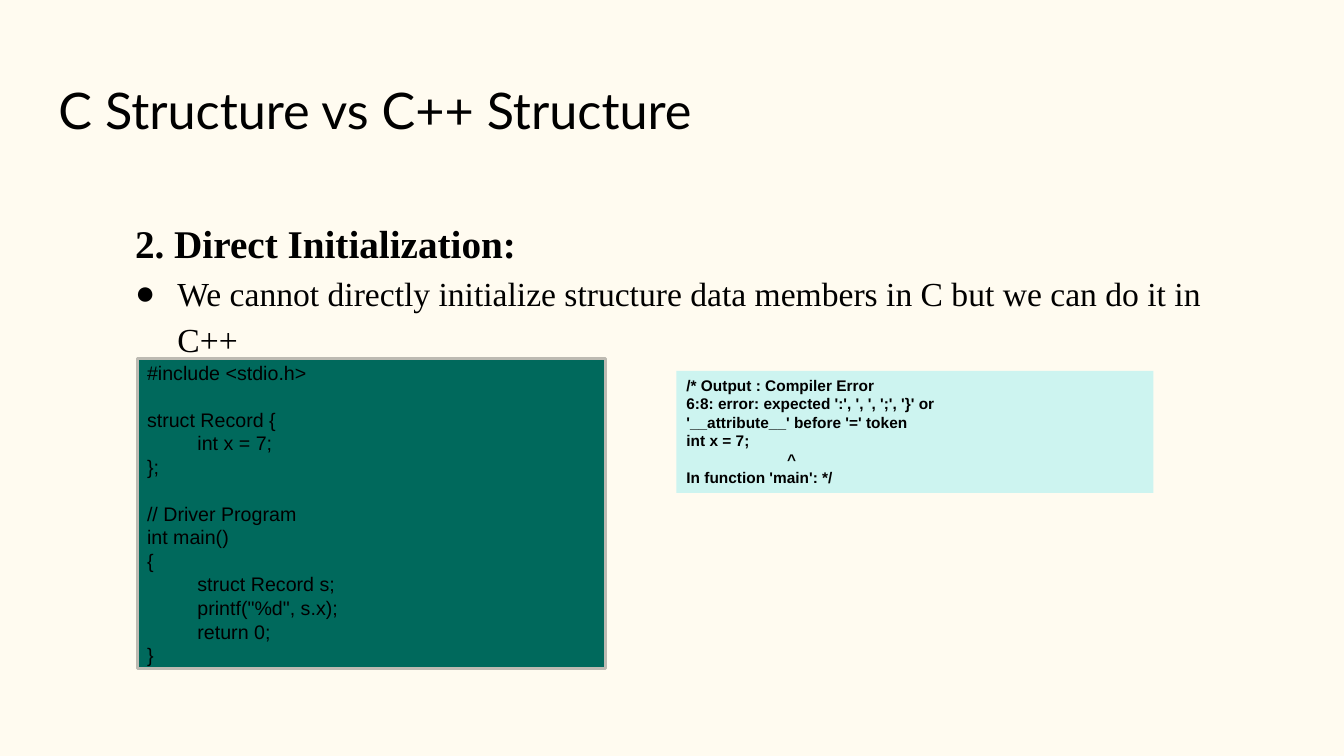
from pptx import Presentation
from pptx.dml.color import RGBColor
from pptx.enum import shapes, text
from pptx.oxml import parse_xml
from pptx.oxml.ns import nsdecls
from pptx.util import Inches, Pt

CREAM = RGBColor(0xFF, 0xFB, 0xF0)
BLACK = RGBColor(0x00, 0x00, 0x00)
GREEN = RGBColor(0x00, 0x69, 0x5C)
GREY = RGBColor(0xBD, 0xBA, 0xB2)
MINT = RGBColor(0xCD, 0xF4, 0xF0)

# Each inner list is a block of code, set apart by a line's height
PROGRAM = [
    ["#include <stdio.h>"],
    ["struct Record {", "\tint x = 7;", "};"],
    ["// Driver Program", "int main()", "{", "\tstruct Record s;",
     "\tprintf(\"%d\", s.x);", "\treturn 0;", "}"],
]
OUTPUT = [[
    "/* Output : Compiler Error",
    "6:8: error: expected ':', ', ', ';', '}' or",
    "'__attribute__' before '=' token",
    "int x = 7;",
    "\t\t^",
    "In function 'main': */",
]]


def set_font(paragraph, name, size, bold=False):
    font = paragraph.font
    font.name, font.size, font.bold = name, Pt(size), bold
    font.color.rgb = BLACK


def place(placeholder, left, top, width, height, anchor):
    placeholder.left, placeholder.top = Inches(left), Inches(top)
    placeholder.width, placeholder.height = Inches(width), Inches(height)
    frame = placeholder.text_frame
    frame.word_wrap = True
    frame.auto_size = text.MSO_AUTO_SIZE.NONE
    frame.vertical_anchor = anchor
    frame.margin_left = frame.margin_right = Inches(0.13)
    frame.margin_top = frame.margin_bottom = Inches(0.13)
    return frame


def add_point(paragraph, words, size, bold=False, bullet=None):
    paragraph.text = words
    paragraph.alignment = text.PP_ALIGN.LEFT
    paragraph.line_spacing = 1.15
    paragraph.space_before = paragraph.space_after = Pt(0)
    set_font(paragraph, "Times New Roman", size, bold)
    properties = paragraph._p.get_or_add_pPr()
    properties.set("marL", str(Inches(0.5)))
    properties.set("indent", str(Inches(-0.42)))
    if bullet:
        properties.append(parse_xml(
            f'<a:buClr {nsdecls("a")}><a:srgbClr val="{BLACK}"/></a:buClr>'))
        properties.append(parse_xml(
            f'<a:buChar {nsdecls("a")} char="{bullet}"/>'))
    else:
        properties.append(parse_xml(f'<a:buNone {nsdecls("a")}/>'))


def add_code_box(slide, left, top, width, height, blocks, size, fill,
                 border=None, bold=False, anchor=text.MSO_ANCHOR.TOP):
    box = slide.shapes.add_shape(
        shapes.MSO_SHAPE.RECTANGLE,
        Inches(left), Inches(top), Inches(width), Inches(height))
    box.shadow.inherit = False
    box.fill.solid()
    box.fill.fore_color.rgb = fill
    if border is None:
        box.line.fill.background()
    else:
        box.line.color.rgb = border
        box.line.width = Pt(2)
    frame = box.text_frame
    frame.word_wrap = True
    frame.vertical_anchor = anchor
    frame.text = "\n".join(line for block in blocks for line in block)
    for paragraph in frame.paragraphs:
        paragraph.alignment = text.PP_ALIGN.LEFT
        set_font(paragraph, "Arial", size, bold)
    # Open a gap above every block but the first
    start = 0
    for block in blocks[:-1]:
        start += len(block)
        frame.paragraphs[start].space_before = Pt(size * 1.2)


def main():
    deck = Presentation()
    deck.slide_width, deck.slide_height = Inches(13.33), Inches(7.5)
    slide = deck.slides.add_slide(deck.slide_layouts[1])
    slide.background.fill.solid()
    slide.background.fill.fore_color.rgb = CREAM

    # Title
    title = place(slide.shapes.title, 0.45, 0.65, 12.42, 0.89,
                  text.MSO_ANCHOR.TOP)
    title.text = "C Structure vs C++ Structure"
    title.paragraphs[0].alignment = text.PP_ALIGN.LEFT
    set_font(title.paragraphs[0], "Lato", 36)

    # Heading and point
    body = place(slide.placeholders[1], 1.13, 1.98, 11, 4.3,
                 text.MSO_ANCHOR.TOP)
    add_point(body.paragraphs[0], "2. Direct Initialization:\u00a0".strip(),
              28, bold=True)
    add_point(body.add_paragraph(),
              "We cannot directly initialize structure data members in C "
              "but we can do it in C++", 24, bullet="●")

    # Program and its compiler output
    add_code_box(slide, 1.36, 3.56, 4.65, 3.07, PROGRAM, 14, GREEN,
                 border=GREY, anchor=text.MSO_ANCHOR.MIDDLE)
    add_code_box(slide, 6.71, 3.68, 4.73, 1.21, OUTPUT, 11, MINT, bold=True)

    deck.save("out.pptx")


if __name__ == "__main__":
    main()
